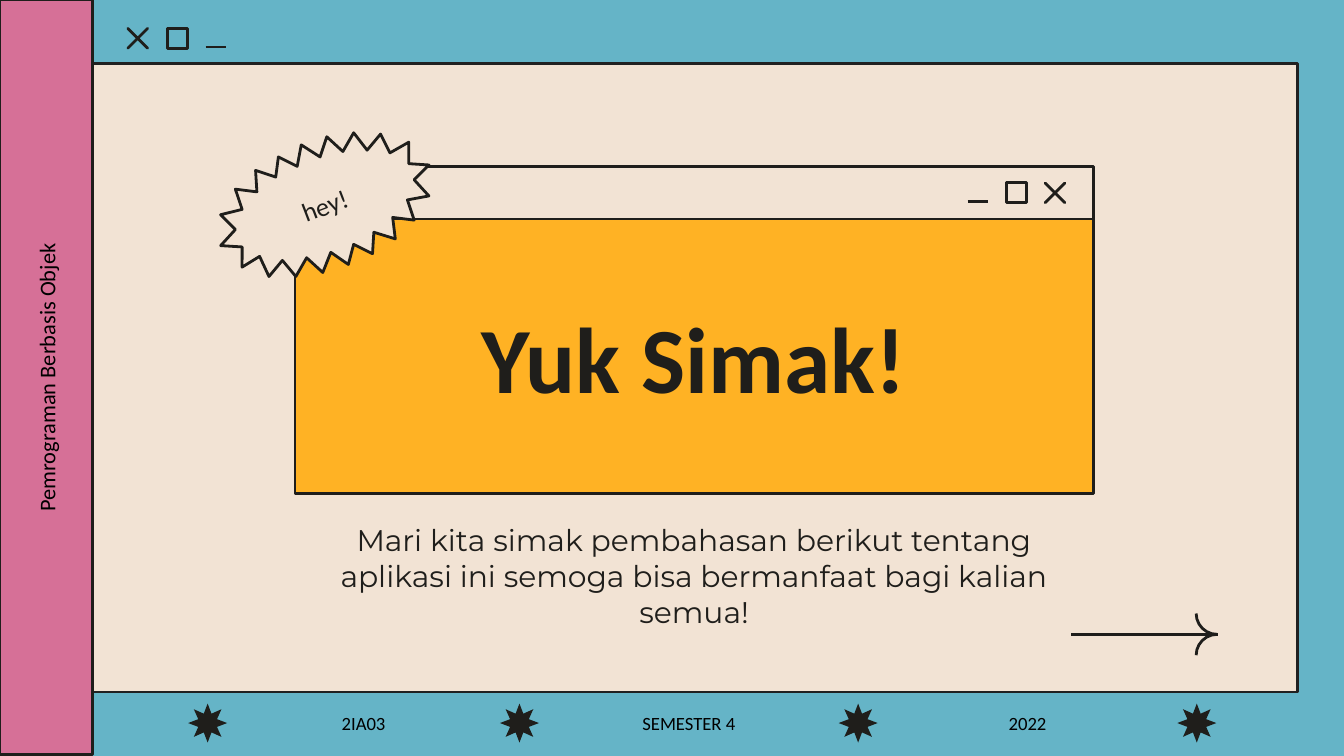
"""Build the "Yuk Simak!" opening slide in a retro window style."""
import math

from lxml import etree
from pptx import Presentation
from pptx import util as u
from pptx.dml.color import RGBColor
from pptx.enum import shapes, text
from pptx.oxml.ns import qn

PX = 4572
INK = RGBColor(0x1F, 0x1E, 0x1B)
FRAME = RGBColor(0x21, 0x21, 0x21)
BLACK = RGBColor(0, 0, 0)
BLUE = RGBColor(0x65, 0xB4, 0xC7)
CREAM = RGBColor(0xF2, 0xE3, 0xD4)
PINK = RGBColor(0xD6, 0x70, 0x97)
YELLOW = RGBColor(0xFF, 0xB2, 0x24)
KIND = shapes.MSO_SHAPE

deck = Presentation()
deck.slide_width = 2000 * PX
deck.slide_height = 1125 * PX
page = deck.slides.add_slide(deck.slide_layouts[0])
page.background.fill.solid()
page.background.fill.fore_color.rgb = BLUE


def draw(kind, box, fill=None, line=INK):
    shape = page.shapes.add_shape(kind, *[n * PX for n in box])
    shape.shadow.inherit = False
    if fill is None:
        shape.fill.background()
    else:
        shape.fill.solid()
        shape.fill.fore_color.rgb = fill
    shape.line.color.rgb = line
    shape.line.width = u.Pt(1.5)
    return shape


def write(shape, words, size, color=INK, font="Calibri", bold=False):
    frame = shape.text_frame
    frame.word_wrap = True
    frame.auto_size = text.MSO_AUTO_SIZE.NONE
    frame.vertical_anchor = text.MSO_ANCHOR.MIDDLE
    frame.margin_left = frame.margin_right = 20 * PX
    frame.margin_top = frame.margin_bottom = 20 * PX
    frame.text = words
    para = frame.paragraphs[0]
    para.alignment = text.PP_ALIGN.CENTER
    para.space_before = u.Pt(0)
    para.font.name = font
    para.font.size = u.Pt(size)
    para.font.bold = bold
    para.font.color.rgb = color


draw(KIND.RECTANGLE, (138, 94, 1793, 936), CREAM, FRAME)
draw(KIND.RECTANGLE, (0, -1, 138, 1124), PINK)

title = page.shapes.title
subtitle = page.placeholders[1]
for holder, box in [(title, (439, 326, 1188, 408)), (subtitle, (450, 770, 1166, 174))]:
    holder.left, holder.top, holder.width, holder.height = [n * PX for n in box]
    page.shapes._spTree.append(holder._element)
title.fill.solid()
title.fill.fore_color.rgb = YELLOW
title.line.color.rgb = INK
title.line.width = u.Pt(1.5)
write(title, "Yuk Simak!", 50, bold=True)
write(
    subtitle,
    "Mari kita simak pembahasan berikut tentang aplikasi ini semoga bisa bermanfaat bagi kalian semua!",
    16,
    font="Montserrat",
)

draw(KIND.RECTANGLE, (439, 248, 1188, 78), CREAM)
for cross_left, square_left, top in [(177, 249, 29), (1542, 1498, 259)]:
    cross = draw(KIND.MATH_MULTIPLY, (cross_left, top, 56, 56))
    cross.adjustments[0] = 0
    draw(KIND.RECTANGLE, (square_left, top + 13, 30, 30))

for left, right, y in [(306, 336, 70), (1440, 1470, 300), (1594, 1812, 944)]:
    line = page.shapes.add_connector(
        shapes.MSO_CONNECTOR.STRAIGHT, left * PX, y * PX, right * PX, y * PX
    )
    line.line.color.rgb = INK
    line.line.width = u.Pt(1.5)
    etree.SubElement(line._element.spPr, qn("a:effectLst"))

for top, turn in [(944, 270), (882, 180)]:
    arrowhead = draw(KIND.ARC, (1780, top, 62, 62))
    arrowhead.rotation = turn

BURST = [
    (448, 216), (442, 248), (414, 234), (410, 264), (380, 254), (382, 286),
    (350, 282), (360, 312), (328, 320), (350, 342), (328, 366), (360, 368),
    (360, 398), (386, 382), (400, 412), (420, 388), (440, 412), (456, 384),
    (480, 406), (492, 376), (518, 394), (526, 364), (554, 378), (556, 346),
    (588, 356), (584, 324), (616, 328), (606, 298), (638, 292), (616, 268),
    (638, 246), (608, 244), (608, 212), (580, 228), (566, 200), (546, 224),
    (526, 198), (510, 226), (486, 204), (476, 234),
]
TILT = 338.9
center_x, center_y = 484, 306
cos, sin = math.cos(math.radians(-TILT)), math.sin(math.radians(-TILT))
level = [
    (
        (center_x + (x - center_x) * cos - (y - center_y) * sin) * PX,
        (center_y + (x - center_x) * sin + (y - center_y) * cos) * PX,
    )
    for x, y in BURST
]
builder = page.shapes.build_freeform(*level[0])
builder.add_line_segments(level[1:], close=True)
burst = builder.convert_to_shape()
burst.rotation = TILT
burst.shadow.inherit = False
burst.fill.solid()
burst.fill.fore_color.rgb = CREAM
burst.line.color.rgb = INK
burst.line.width = u.Pt(1.5)
write(burst, "hey!", 14)

for left in (280, 744, 1248, 1752):
    star = draw(KIND.STAR_8_POINT, (left, 1047, 58, 58), INK)
    star.adjustments[0] = 0.26
    star.line.fill.background()

for words, box, size, turn in [
    ("Pemrograman Berbasis Objek", (-290, 510, 718, 104), 12, 270),
    ("2IA03", (376, 1047, 330, 58), 10, 0),
    ("SEMESTER 4", (860, 1047, 330, 58), 10, 0),
    ("2022", (1364, 1047, 330, 58), 10, 0),
]:
    label = page.shapes.add_textbox(*[n * PX for n in box])
    label.rotation = turn
    write(label, words, size, BLACK)

deck.save("out.pptx")
